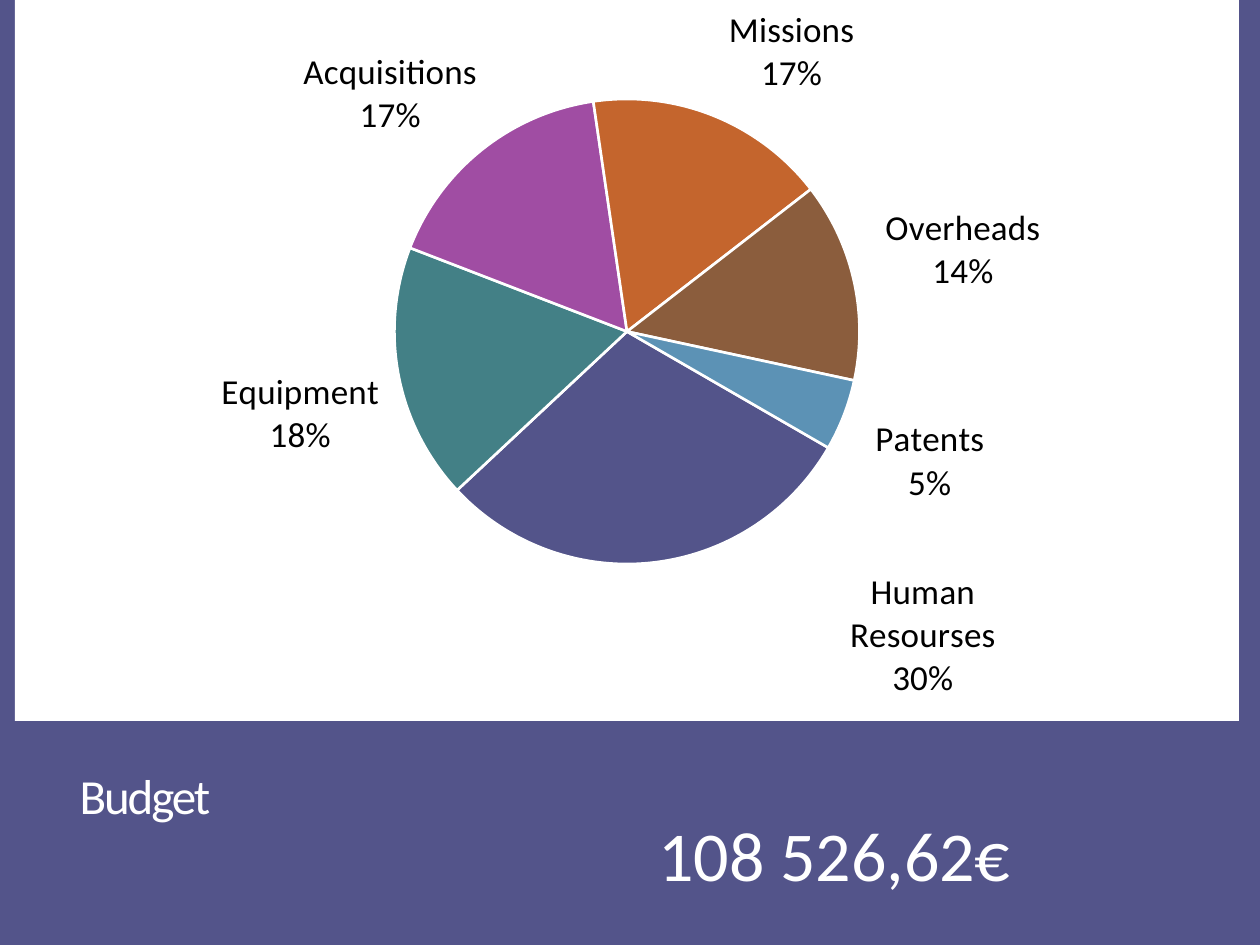
import pptx
import pptx.chart.data
import pptx.dml.color
import pptx.enum.chart
import pptx.enum.text
import pptx.oxml
import pptx.oxml.ns
import pptx.util

SCALE = 914400 / 126
FONT = "Calibri"
COLORS = {
    "back": "53548A",
    "white": "FFFFFF",
    "black": "000000",
    "Human Resourses": "53548A",
    "Equipment": "438086",
    "Acquisitions": "A04DA3",
    "Missions": "C4652D",
    "Overheads": "8B5D3D",
    "Patents": "5C92B5",
}
COSTS = {
    "Human Resourses": 30,
    "Equipment": 18,
    "Acquisitions": 17,
    "Missions": 17,
    "Overheads": 14,
    "Patents": 5,
}
SHIFTS = {
    "Human Resourses": (0.16, 0),
    "Equipment": (-0.01, -0.01),
    "Acquisitions": (0, -0.01),
    "Missions": (0.01, -0.02),
    "Overheads": (0.02, 0.02),
    "Patents": (0.02, 0),
}
NS = pptx.oxml.ns.nsdecls("c", "a")


def px(num):
    return round(num * SCALE)


def color(name):
    return pptx.dml.color.RGBColor.from_string(COLORS[name])


def style(font, size, name):
    font.name = FONT
    font.size = pptx.util.Pt(size)
    font.color.rgb = color(name)


def place(shape, left, top, width, height):
    shape.left, shape.top = px(left), px(top)
    shape.width, shape.height = px(width), px(height)


def write(shape, text, size, align, anchor, spacing):
    frame = shape.text_frame
    frame.word_wrap = True
    frame.auto_size = pptx.enum.text.MSO_AUTO_SIZE.NONE
    frame.vertical_anchor = anchor
    para = frame.paragraphs[0]
    para.text = text
    para.alignment = align
    para.line_spacing = spacing
    style(para.font, size, "white")
    return para


def add_title(slide):
    title = slide.shapes.title
    place(title, 67, 747, 1114, 84)
    para = write(title, "Budget", 28, pptx.enum.text.PP_ALIGN.LEFT,
                 pptx.enum.text.MSO_ANCHOR.BOTTOM, 0.85)
    para.runs[0].font._element.set("spc", "-120")


def add_total(slide):
    box = slide.shapes.add_textbox(px(70), px(815), px(953), px(73))
    write(box, "108 526,62€", 40, pptx.enum.text.PP_ALIGN.RIGHT,
          pptx.enum.text.MSO_ANCHOR.TOP, 0.9)


def layout(inner="", **sides):
    modes = "".join(f'<c:{key}Mode val="edge"/>' for key in "xy") if inner else ""
    vals = "".join(f'<c:{key} val="{val}"/>' for key, val in sides.items())
    return pptx.oxml.parse_xml(
        f"<c:layout {NS}><c:manualLayout>{inner}{modes}{vals}"
        "</c:manualLayout></c:layout>")


def set_area(chart):
    area = chart._chartSpace.chart.plotArea
    for old in area.findall(pptx.oxml.ns.qn("c:layout")):
        area.remove(old)
    area.insert(0, layout('<c:layoutTarget val="inner"/>',
                          x=0.31, y=0.13, w=0.38, h=0.66))
    fill = pptx.oxml.parse_xml(
        f'<c:spPr {NS}><a:solidFill><a:srgbClr val="{COLORS["white"]}"/>'
        "</a:solidFill><a:ln><a:noFill/></a:ln></c:spPr>")
    chart._chartSpace.chart.addnext(fill)


def set_labels(plot):
    series = plot.series[0]
    labels = series.data_labels
    labels.show_category_name = True
    labels.show_percentage = True
    labels.show_value = False
    labels.position = pptx.enum.chart.XL_LABEL_POSITION.OUTSIDE_END
    style(labels.font, 20, "black")
    root = labels._element
    for old in root.findall(pptx.oxml.ns.qn("c:showLeaderLines")):
        root.remove(old)
    mark = pptx.oxml.parse_xml(f"<c:separator {NS}>\n</c:separator>")
    root.find(pptx.oxml.ns.qn("c:showBubbleSize")).addnext(mark)
    mark.addnext(pptx.oxml.parse_xml(f'<c:showLeaderLines {NS} val="0"/>'))
    for num, name in enumerate(COSTS):
        across, down = SHIFTS[name]
        label = pptx.oxml.parse_xml(
            f'<c:dLbl {NS}><c:idx val="{num}"/>'
            '<c:dLblPos val="outEnd"/><c:showLegendKey val="0"/>'
            '<c:showVal val="0"/><c:showCatName val="1"/>'
            '<c:showSerName val="0"/><c:showPercent val="1"/>'
            '<c:showBubbleSize val="0"/><c:separator>\n</c:separator></c:dLbl>')
        label[0].addnext(layout(x=across, y=down))
        root.insert(num, label)
        style(series.points[num].data_label.font, 20, "black")


def add_pie(slide):
    data = pptx.chart.data.CategoryChartData()
    data.categories = list(COSTS)
    data.add_series("Series 1", list(COSTS.values()))
    chart = slide.shapes.add_chart(
        pptx.enum.chart.XL_CHART_TYPE.PIE,
        px(15), 0, px(1224), px(721), data).chart
    chart.has_title = False
    chart.has_legend = False
    style(chart.font, 10, "black")
    plot = chart.plots[0]
    plot.vary_by_categories = True
    for num, name in enumerate(COSTS):
        part = plot.series[0].points[num].format
        part.fill.solid()
        part.fill.fore_color.rgb = color(name)
        part.line.color.rgb = color("white")
        part.line.width = pptx.util.Pt(1.5)
    set_labels(plot)
    angle = pptx.oxml.parse_xml(f'<c:firstSliceAng {NS} val="120"/>')
    pie = plot._element
    for old in pie.findall(pptx.oxml.ns.qn("c:firstSliceAng")):
        pie.remove(old)
    pie.append(angle)
    set_area(chart)


def main():
    deck = pptx.Presentation()
    deck.slide_width, deck.slide_height = px(1260), px(945)
    slide = deck.slides.add_slide(deck.slide_layouts[5])
    slide.background.fill.solid()
    slide.background.fill.fore_color.rgb = color("back")
    add_title(slide)
    add_total(slide)
    add_pie(slide)
    deck.save("out.pptx")


if __name__ == "__main__":
    main()
